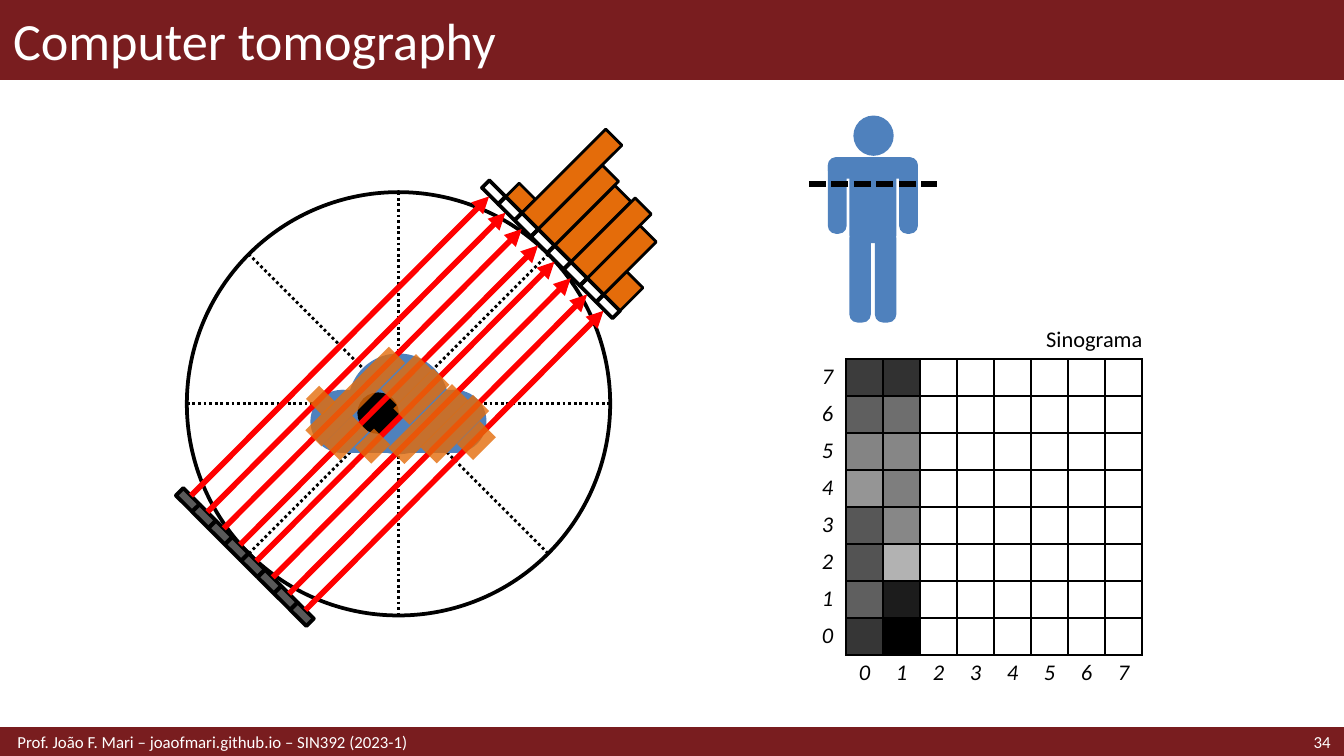
from lxml.etree import SubElement
from pptx import Presentation
from pptx.dml.color import RGBColor
from pptx.enum.dml import MSO_LINE
from pptx.enum.shapes import MSO_CONNECTOR, MSO_SHAPE
from pptx.enum.text import MSO_ANCHOR, PP_ALIGN
from pptx.oxml.ns import qn
from pptx.util import Inches, Pt

WIDE = 10
HIGH = WIDE * 9 / 16
BLACK, WHITE, RED, WINE = "000000", "FFFFFF", "FF0000", "791D1F"
BLUE, ORANGE, GRAY = "4F81BD", "E46C0A", "595959"
RECT, ROUND, OVAL = MSO_SHAPE.RECTANGLE, MSO_SHAPE.ROUNDED_RECTANGLE, MSO_SHAPE.OVAL
STEP, THICK, COUNT = 3.86, 5.4, 8
HEIGHTS = [4.4, 27.9, 21.3, 20, 21.3, 17.5, 7.6]
TRACES = [(39.8, 48.3, 27.9), (31.6, 49.2, 4.4), (37.6, 58.1, 9.5),
          (43.9, 60, 6.3), (57, 54.8, 21.3), (63.3, 56, 17.5),
          (68.4, 58.7, 7.6), (51.9, 44.3, 11.7), (55.4, 48.3, 13.3)]
ORGANS = [(OVAL, 38.1, 38.1, 23.8, 23.8, BLUE), (OVAL, 55.9, 46.7, 14.9, 14.9, BLUE),
          (RECT, 36.5, 46.7, 27, 14.9, BLUE), (OVAL, 29.2, 46.7, 14.9, 14.9, BLUE),
          (OVAL, 40.3, 47.3, 9.8, 9.8, BLACK)]
LIMBS = [(14, 31, 14, 57, 0.43), (14, 31, 67, 16, 0.39), (67, 31, 14, 57, 0.43),
         (30, 31, 35, 64, 0.17), (30, 85, 16, 69, 0.38), (49, 85, 16, 69, 0.38)]
SHADES = [("3C3C3C", "313131"), ("5F5F5F", "6E6E6E"), ("848484", "868686"),
          ("959595", "7E7E7E"), ("575757", "878787"), ("535353", "B2B2B2"),
          ("5F5F5F", "1C1C1C"), ("363636", "000000")]


def color(code):
    """Turn a hex string into a colour."""
    return RGBColor.from_string(code)


def paint(fill, code):
    """Fill with a colour, or with nothing."""
    if code:
        fill.solid()
        fill.fore_color.rgb = color(code)
    else:
        fill.background()


def shape(slide, kind, box, fill=None, line=None, width=1):
    """Add a preset shape."""
    item = slide.shapes.add_shape(kind, *map(Inches, box))
    item.shadow.inherit = False
    paint(item.fill, fill)
    paint(item.line.fill, line)
    if line:
        item.line.width = Pt(width)
    return item


def link(slide, ends, code, width, dash=None, arrow=False):
    """Add a straight line."""
    item = slide.shapes.add_connector(MSO_CONNECTOR.STRAIGHT, *map(Inches, ends))
    item.line.fill.solid()
    item.line.color.rgb = color(code)
    item.line.width = Pt(width)
    if dash:
        item.line.dash_style = dash
    if arrow:
        SubElement(item.line._get_or_add_ln(), qn("a:tailEnd"), type="triangle")
    SubElement(item._element.spPr, qn("a:effectLst"))


def style(para, text, size, code, align, italic=False):
    """Write a paragraph in one font."""
    para.text = text
    para.alignment = align
    font = para.font
    font.name, font.size, font.italic = "Calibri", Pt(size), italic
    font.color.rgb = color(code)


def label(slide, box, text, size, code, align=PP_ALIGN.LEFT, left=0.1, right=0.1):
    """Add a line of text centred in height."""
    frame = slide.shapes.add_textbox(*map(Inches, box)).text_frame
    frame.word_wrap = True
    frame.vertical_anchor = MSO_ANCHOR.MIDDLE
    frame.margin_left, frame.margin_right = Inches(left), Inches(right)
    frame.margin_top = frame.margin_bottom = 0
    style(frame.paragraphs[0], text, size, code, align)


def header(slide, box):
    """Draw the title band."""
    shape(slide, RECT, box, WINE, WINE)
    label(slide, box, "Computer tomography", 28, WHITE)


def footer(slide, box):
    """Draw the footer band with the page number."""
    x, y, w, h = box
    shape(slide, RECT, box, WINE, WINE, 2)
    label(slide, (x + w * 0.89, y, w * 0.11, h), "34", 9, WHITE, PP_ALIGN.RIGHT)
    label(slide, (x, y, w * 0.69, h),
          "Prof. João F. Mari – joaofmari.github.io – SIN392 (2023-1)", 9, WHITE, left=0.13)


def scan(slide, box):
    """Draw the scanner ring on a grid of 100 by 100."""
    left, top, size = box[:3]
    unit = size / 100

    def spot(u, v):
        """Turn a grid point into inches."""
        return left + u * unit, top + v * unit

    def tilt(u, v, wide, high, *look):
        """Add a bar turned by 45 degrees about its centre."""
        area = (*spot(u - wide / 2, v - high / 2), wide * unit, high * unit)
        item = shape(slide, RECT, area, *look)
        item.rotation = 45
        return item

    near, far = 14.6, 85.4
    shape(slide, OVAL, box, None, BLACK, 2)
    for a, b, c, d in [(far, near, near, far), (50, 0, 50, 100),
                       (0, 50, 100, 50), (near, near, far, far)]:
        link(slide, (*spot(a, b), *spot(c, d)), BLACK, 1.5, MSO_LINE.ROUND_DOT)
    for kind, u, v, wide, high, code in ORGANS:
        shape(slide, kind, (*spot(u, v), wide * unit, high * unit), code)
    steps = [k * STEP for k in range(COUNT)]
    for u, v, code in [(72.5, 0, None), (0.2, 72.7, GRAY)]:
        for move in steps:
            tilt(u + move, v + move, THICK, 2.5, code, BLACK, 2)
    for move in steps:
        link(slide, (*spot(1 + move, 71.7 + move), *spot(71.4 + move, 1 + move)),
             RED, 3, arrow=True)
    for move, high in zip(steps, HEIGHTS):
        lift = high / 2 * 0.5 ** 0.5
        tilt(77.3 + move + lift, 2.9 + move - lift, THICK, high, ORANGE, BLACK, 1.5)
    for u, v, high in TRACES:
        bar = tilt(u, v, THICK, high, ORANGE)
        tone = bar._element.spPr.find(qn("a:solidFill"))[0]
        SubElement(tone, qn("a:alpha"), val="80000")


def person(slide, box):
    """Draw the body and its cut on a grid of 95 by 154."""
    x, y, w, h = box
    col, row = w / 95, h / 154
    for u, v, wide, high, bend in LIMBS:
        area = (x + u * col, y + v * row, wide * col, high * row)
        shape(slide, ROUND, area, BLUE).adjustments[0] = bend
    shape(slide, OVAL, (x + 33 * col, y, 30 * col, 30 * row), BLUE)
    cut = y + 51 * row
    link(slide, (x, cut, x + w, cut), BLACK, 3, MSO_LINE.SQUARE_DOT)


def edge(cell, sides):
    """Rule the named sides of a cell and clear the others."""
    for side in "LRTB":
        line = SubElement(cell._tc.get_or_add_tcPr(), qn("a:ln" + side), w="12700")
        if side in sides:
            SubElement(SubElement(line, qn("a:solidFill")), qn("a:srgbClr"), val=BLACK)
        else:
            SubElement(line, qn("a:noFill"))


def chart(slide, box):
    """Draw the sinogram table with its caption."""
    x, y, w, h = box
    label(slide, (x + w * 0.18, y - h * 0.1, w * 0.82, h * 0.08), "Sinograma", 12, BLACK,
          PP_ALIGN.RIGHT, right=0)
    table = slide.shapes.add_table(COUNT + 1, COUNT + 1, *map(Inches, box)).table
    table.first_row = table.horz_banding = False
    for r in range(COUNT + 1):
        for c in range(COUNT + 1):
            cell = table.cell(r, c)
            cell.margin_left = cell.margin_right = cell.margin_top = cell.margin_bottom = 0
            cell.vertical_anchor = MSO_ANCHOR.MIDDLE
            text, sides, code = "", "LRTB", None
            if r == COUNT:
                text, sides = (str(c - 1), "T") if c else ("", "")
            elif c == 0:
                text, sides = str(COUNT - 1 - r), "R"
            elif c <= 2:
                code = SHADES[r][c - 1]
            edge(cell, sides)
            paint(cell.fill, code)
            para = cell.text_frame.paragraphs[0]
            style(para, text, 12, BLACK, PP_ALIGN.CENTER, True)
            if not text:
                SubElement(para._p, qn("a:endParaRPr"), sz="1200")


def main():
    """Build the slide and save it."""
    deck = Presentation()
    deck.slide_width, deck.slide_height = Inches(WIDE), Inches(HIGH)
    slide = deck.slides.add_slide(deck.slide_layouts[6])
    header(slide, (0, 0, WIDE, 0.59))
    footer(slide, (0, 5.42, WIDE, HIGH - 5.42))
    scan(slide, (1.39, 1.43, 3.15, 3.15))
    person(slide, (6.02, 0.86, 0.95, 1.54))
    chart(slide, (6.02, 2.67, 2.48, 2.48))
    deck.save("out.pptx")


if __name__ == "__main__":
    main()
